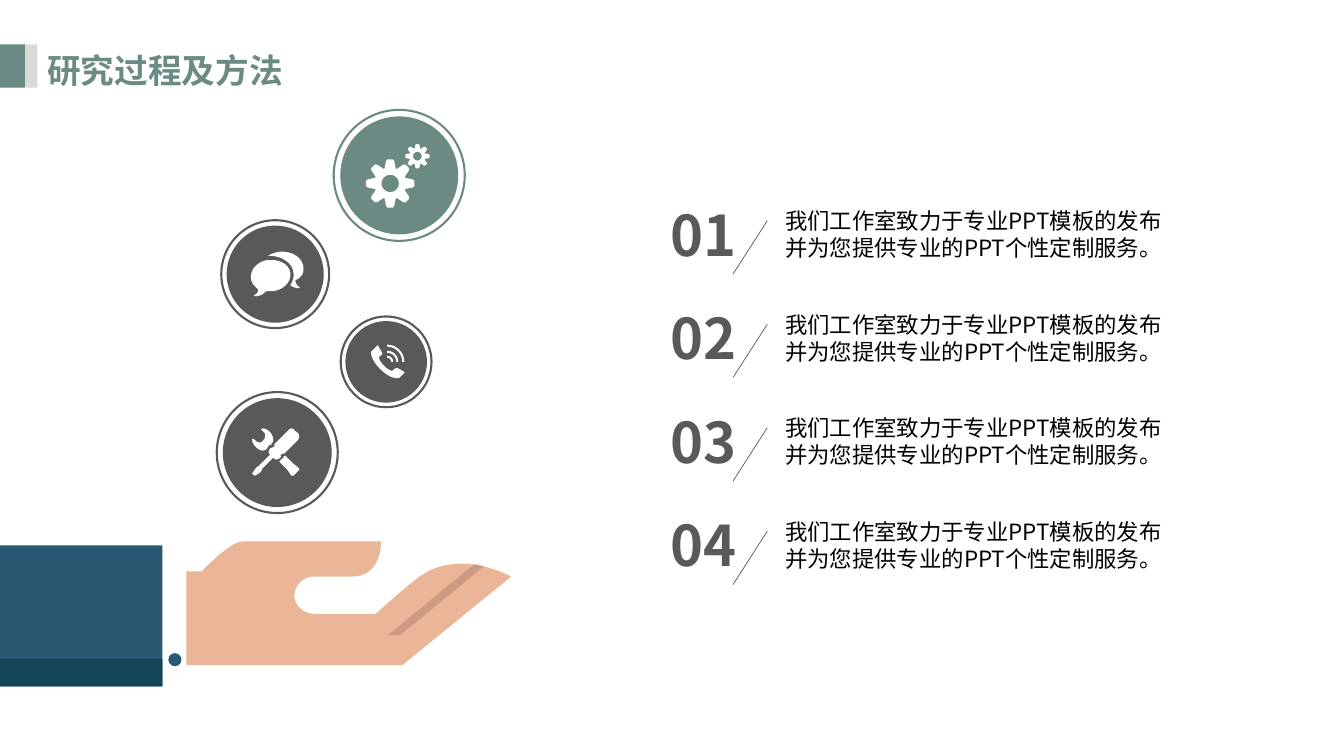
import math

import pptx
import pptx.dml.color
import pptx.enum.shapes
import pptx.enum.text
import pptx.oxml.ns
import pptx.util
from lxml import etree
from pptx.util import Inches

FONT = "Noto Sans CJK SC"
SAGE, GREY, WHITE = "6B8A84", "595959", "FFFFFF"
SHAPE = pptx.enum.shapes.MSO_SHAPE
CURVE_STEPS = 10

# In an outline, a pair is a corner and six numbers are a Bezier curve.
HAND = [(2, 5.67), (2, 5.67, 2.28, 5.37, 2.41, 5.37), (3.78, 5.37),
        (3.78, 5.37, 3.79, 5.72, 3.5, 5.72), (3.11, 5.72),
        (3.01, 5.72, 2.92, 5.81, 2.92, 5.91), (2.92, 6, 3.01, 6.09, 3.11, 6.09),
        (3.73, 6.09), (3.73, 6.09, 3.86, 5.96, 4.16, 5.72),
        (4.55, 5.43, 5.07, 5.72, 5.07, 5.72), (3.99, 6.6), (1.83, 6.6), (1.83, 5.67)]
PALM_CREASE = [(3.85, 6.3), (4.7, 5.6), (4.73, 5.6, 4.76, 5.61, 4.8, 5.62), (3.97, 6.3)]

SCREWDRIVER = [(2.96, 4.3), (2.92, 4.27), (2.92, 4.26, 2.9, 4.25, 2.89, 4.25),
               (2.88, 4.25, 2.87, 4.26, 2.86, 4.27), (2.72, 4.41),
               (2.73, 4.41, 2.72, 4.43, 2.72, 4.43), (2.71, 4.44, 2.71, 4.44, 2.7, 4.44),
               (2.68, 4.45), (2.66, 4.47, 2.66, 4.5, 2.68, 4.51), (2.57, 4.62),
               (2.54, 4.64), (2.5, 4.7), (2.53, 4.72), (2.59, 4.68), (2.6, 4.65),
               (2.71, 4.54), (2.72, 4.55, 2.73, 4.56, 2.74, 4.56),
               (2.75, 4.56, 2.76, 4.55, 2.77, 4.55), (2.79, 4.53),
               (2.78, 4.52, 2.78, 4.51, 2.79, 4.51), (2.8, 4.5, 2.8, 4.5, 2.82, 4.5),
               (2.96, 4.36), (2.97, 4.34, 2.97, 4.32, 2.96, 4.3)]
WRENCH_HEAD = [(2.67, 4.42), (2.68, 4.41), (2.7, 4.41), (2.69, 4.4), (2.7, 4.39),
               (2.71, 4.39), (2.71, 4.38, 2.71, 4.37, 2.71, 4.36),
               (2.71, 4.31, 2.66, 4.25, 2.6, 4.25), (2.59, 4.26),
               (2.64, 4.31, 2.63, 4.3, 2.63, 4.33), (2.63, 4.35, 2.6, 4.39, 2.58, 4.39),
               (2.55, 4.39, 2.56, 4.39, 2.51, 4.35), (2.5, 4.36),
               (2.5, 4.41, 2.56, 4.47, 2.61, 4.47), (2.62, 4.47, 2.63, 4.46, 2.64, 4.46),
               (2.65, 4.45, 2.65, 4.44, 2.66, 4.43)]
WRENCH_HANDLE = [(2.81, 4.53), (2.82, 4.54), (2.8, 4.55), (2.79, 4.56), (2.77, 4.58),
                 (2.85, 4.66), (2.89, 4.72), (2.91, 4.72), (2.97, 4.66), (2.96, 4.64),
                 (2.91, 4.6), (2.83, 4.52)]

HANDSET = [(4.01, 3.69), (3.94, 3.65), (3.93, 3.65), (3.9, 3.67), (3.89, 3.68),
           (3.89, 3.68, 3.86, 3.68, 3.81, 3.63), (3.76, 3.58, 3.76, 3.55, 3.76, 3.55),
           (3.76, 3.54, 3.76, 3.54, 3.77, 3.53), (3.79, 3.52),
           (3.79, 3.51, 3.79, 3.51, 3.79, 3.5), (3.75, 3.43),
           (3.75, 3.43, 3.74, 3.42, 3.74, 3.43), (3.69, 3.48), (3.68, 3.49),
           (3.68, 3.49, 3.67, 3.56, 3.77, 3.66), (3.88, 3.77, 3.95, 3.75, 3.95, 3.75),
           (3.96, 3.75), (4.01, 3.7)]
SIGNAL_CENTRE, SIGNAL_RADII, SIGNAL_WIDTH = (3.84, 3.59), (0.06, 0.11, 0.17), 0.02

BACK_BUBBLE = [(3.01, 2.68), (3.02, 2.59, 2.94, 2.51, 2.83, 2.5),
               (2.77, 2.49, 2.7, 2.51, 2.66, 2.54), (2.69, 2.54),
               (2.74, 2.54, 2.8, 2.56, 2.84, 2.59), (2.88, 2.62, 2.91, 2.66, 2.91, 2.71),
               (2.92, 2.75, 2.9, 2.8, 2.88, 2.83), (2.93, 2.87, 2.99, 2.86, 2.97, 2.85),
               (2.94, 2.83, 2.93, 2.8, 2.93, 2.78), (2.98, 2.76, 3.01, 2.72, 3.01, 2.68)]
FRONT_BUBBLE = [(2.88, 2.71), (2.87, 2.63, 2.79, 2.58, 2.69, 2.58), (2.66, 2.58),
                (2.56, 2.59, 2.48, 2.67, 2.49, 2.76), (2.49, 2.8, 2.52, 2.84, 2.56, 2.87),
                (2.56, 2.89, 2.56, 2.91, 2.52, 2.93), (2.52, 2.94, 2.53, 2.94, 2.54, 2.94),
                (2.56, 2.94, 2.6, 2.93, 2.64, 2.89), (2.7, 2.89),
                (2.81, 2.88, 2.89, 2.8, 2.88, 2.71)]

# Centre x, centre y, ring diameter, colour
BADGES = [(2.75, 4.49, 1.2, GREY), (3.83, 3.59, 0.9, GREY),
          (2.73, 2.72, 1.07, GREY), (3.96, 1.74, 1.3, SAGE)]
DISC_SHARE = 0.9

STEPS = ["我们工作室致力于专业PPT模板的发布并为您提供专业的PPT个性定制服务。"] * 4
STEPS_TOP, STEP_PITCH = 1.94, 3.08 / 3


def rgb(colour):
    return pptx.dml.color.RGBColor.from_string(colour)


def paint(shape, fill=None, line=None):
    shape.shadow.inherit = False
    if fill:
        shape.fill.solid()
        shape.fill.fore_color.rgb = rgb(fill)
    else:
        shape.fill.background()
    if line:
        shape.line.color.rgb = rgb(line)
        shape.line.width = pptx.util.Pt(1.5)
    else:
        shape.line.fill.background()


def add_preset(shapes, preset, left, top, width, height, fill=None, line=None):
    shape = shapes.add_shape(preset, Inches(left), Inches(top), Inches(width), Inches(height))
    paint(shape, fill, line)


def flatten(outline):
    """Turn corners and Bezier curves into a list of points."""
    points = []
    for part in outline:
        if len(part) == 2:
            points.append(part)
            continue
        controls = [points[-1], part[:2], part[2:4], part[4:]]
        for step in range(1, CURVE_STEPS + 1):
            t = step / CURVE_STEPS
            weights = [(1 - t) ** 3, 3 * t * (1 - t) ** 2, 3 * t * t * (1 - t), t ** 3]
            points.append(tuple(sum(w * c[axis] for w, c in zip(weights, controls))
                                for axis in (0, 1)))
    return points


def add_outline(shapes, fill, *outlines):
    """Draw one filled shape; outlines after the first are holes."""
    builder = None
    for outline in outlines:
        start, *others = [(Inches(x), Inches(y)) for x, y in flatten(outline)]
        if builder is None:
            builder = shapes.build_freeform(*start)
        else:
            builder.move_to(*start)
        builder.add_line_segments(others, close=True)
    paint(builder.convert_to_shape(), fill)


def arc(centre, radius, start, end, steps=24):
    angles = [math.radians(start + (end - start) * i / steps) for i in range(steps + 1)]
    return [(centre[0] + radius * math.cos(a), centre[1] + radius * math.sin(a))
            for a in angles]


def add_gear(shapes, centre, radius):
    tooth = [(-0.23, 0.62), (-0.17, 0.92), (-0.11, 1), (0.11, 1), (0.17, 0.92), (0.23, 0.62)]
    rim = []
    for i in range(8):
        cos, sin = math.cos(i * math.pi / 4), math.sin(i * math.pi / 4)
        rim += [(centre[0] + radius * (out * cos - across * sin),
                 centre[1] + radius * (out * sin + across * cos)) for across, out in tooth]
    add_outline(shapes, WHITE, rim, arc(centre, radius * 0.36, 0, 360))


def add_badge(shapes, x, y, diameter, colour):
    disc = diameter * DISC_SHARE
    for size, fill, line in ((disc, colour, None), (diameter, None, colour)):
        add_preset(shapes, SHAPE.OVAL, x - size / 2, y - size / 2, size, size, fill, line)


def add_hand(shapes):
    hand = shapes.add_group_shape().shapes
    add_outline(hand, "EBB697", HAND)
    add_outline(hand, "CD9B84", PALM_CREASE)
    add_preset(hand, SHAPE.RECTANGLE, 1.55, 5.46, 0.3, 1.29, WHITE)
    add_preset(hand, SHAPE.RECTANGLE, 0, 5.41, 1.61, 1.4, "285872")
    add_preset(hand, SHAPE.OVAL, 1.67, 6.48, 0.13, 0.13, "285872")
    add_preset(hand, SHAPE.RECTANGLE, 0, 6.54, 1.61, 0.27, "114556")


def add_icons(shapes):
    for outline in (WRENCH_HANDLE, WRENCH_HEAD, SCREWDRIVER, HANDSET, BACK_BUBBLE, FRONT_BUBBLE):
        add_outline(shapes, WHITE, outline)
    for radius in SIGNAL_RADII:
        add_outline(shapes, WHITE, arc(SIGNAL_CENTRE, radius, -90, 0)
                    + arc(SIGNAL_CENTRE, radius - SIGNAL_WIDTH, 0, -90))
    add_gear(shapes, (4.14, 1.55), 0.12)
    add_gear(shapes, (3.87, 1.82), 0.24)


def write(frame, text, size, colour, bold=False):
    frame.word_wrap = True
    frame.auto_size = pptx.enum.text.MSO_AUTO_SIZE.SHAPE_TO_FIT_TEXT
    frame.vertical_anchor = pptx.enum.text.MSO_ANCHOR.TOP
    paragraph = frame.paragraphs[0]
    paragraph.alignment = pptx.enum.text.PP_ALIGN.LEFT
    run = paragraph.add_run()
    run.text = text
    run.font.size = pptx.util.Pt(size)
    run.font.bold = bold
    run.font.color.rgb = rgb(colour)
    run.font.name = FONT
    east_asian = etree.SubElement(run._r.get_or_add_rPr(), pptx.oxml.ns.qn("a:ea"))
    east_asian.set("typeface", FONT)


def add_text(shapes, left, top, width, height, *style):
    box = shapes.add_textbox(Inches(left), Inches(top), Inches(width), Inches(height))
    write(box.text_frame, *style)


def add_step(shapes, number, text, top):
    add_text(shapes, 6.55, top, 1.17, 0.77, f"{number:02}", 40, GREY, True)
    slash = shapes.add_connector(pptx.enum.shapes.MSO_CONNECTOR.STRAIGHT, Inches(7.61),
                                 Inches(top + 0.25), Inches(7.27), Inches(top + 0.78))
    slash.line.color.rgb = rgb(GREY)
    slash.line.width = pptx.util.Pt(0.5)
    etree.SubElement(slash._element.spPr, pptx.oxml.ns.qn("a:effectLst"))
    add_text(shapes, 7.69, top + 0.07, 4.03, 0.64, text, 16, "000000")


def add_heading(shapes, text):
    title = shapes.title
    title.left, title.top = Inches(0.37), Inches(0.44)
    title.width, title.height = Inches(2.77), Inches(0.5)
    write(title.text_frame, text, 24, SAGE, True)
    add_preset(shapes, SHAPE.RECTANGLE, 0, 0.44, 0.25, 0.43, SAGE)
    add_preset(shapes, SHAPE.RECTANGLE, 0.25, 0.44, 0.12, 0.43, "D9D9D9")


def main():
    deck = pptx.Presentation()
    deck.slide_width, deck.slide_height = Inches(13.33), Inches(7.5)
    shapes = deck.slides.add_slide(deck.slide_layouts[5]).shapes
    add_heading(shapes, "研究过程及方法")
    add_hand(shapes)
    for badge in BADGES:
        add_badge(shapes, *badge)
    add_icons(shapes)
    for i, text in enumerate(STEPS):
        add_step(shapes, i + 1, text, STEPS_TOP + i * STEP_PITCH)
    deck.save("out.pptx")


if __name__ == "__main__":
    main()
